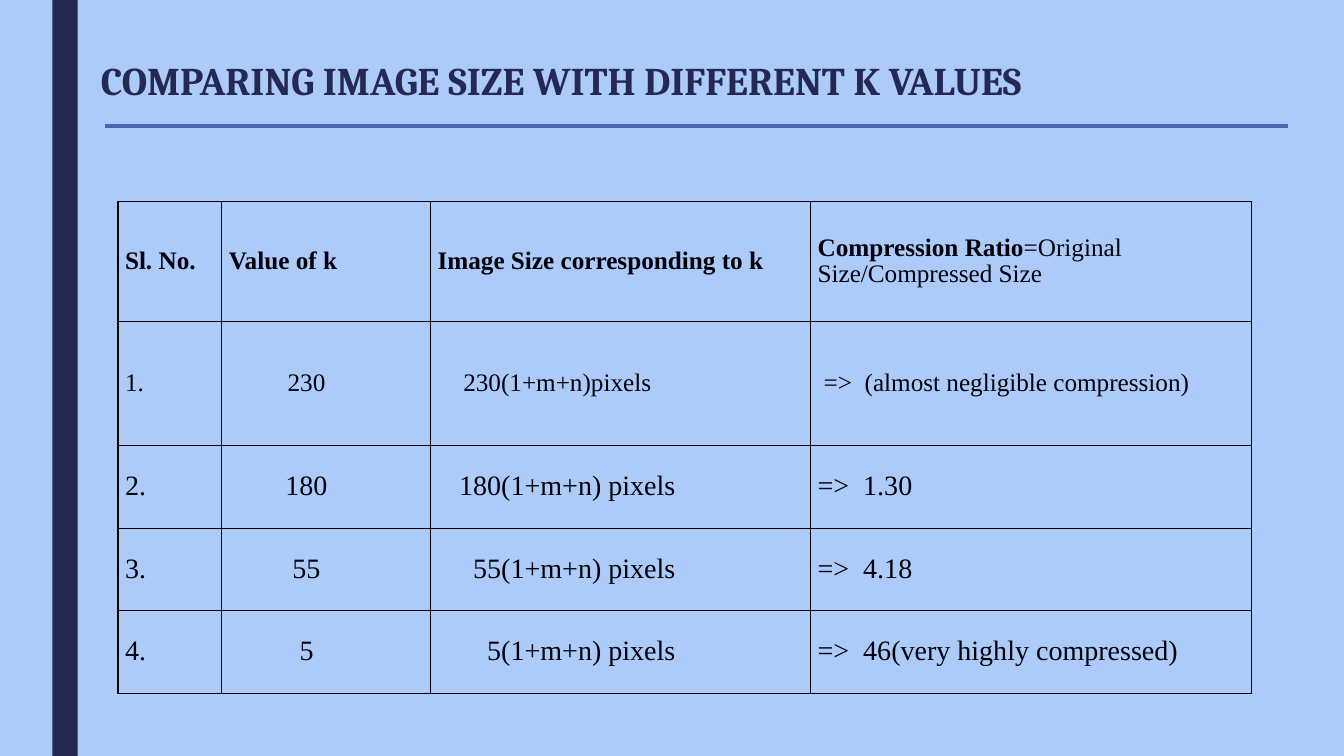
from lxml.etree import SubElement
from pptx import Presentation
from pptx.dml.color import RGBColor
from pptx.enum.shapes import MSO_CONNECTOR, MSO_SHAPE
from pptx.enum.text import MSO_ANCHOR, PP_ALIGN
from pptx.oxml.ns import qn
from pptx.util import Inches, Pt

COLORS = {
    "background": "ACCBF9",
    "navy": "242852",
    "rule": "4A66AC",
    "ink": "00000A",
    "border": "080000",
}
WIDTH, HEIGHT = 13.33, 7.5
COLUMN_WIDTHS = [1.03, 2.07, 3.77, 4.37]
ROW_HEIGHTS = [1.19, 1.23, 0.82, 0.82, 0.82]
ROW_SIZES = [18, 18, 20, 20, 20]
INSET = 0.07
LEFT, CENTER, RIGHT = PP_ALIGN.LEFT, PP_ALIGN.CENTER, PP_ALIGN.RIGHT
COLUMN_LAYOUT = [(LEFT, 0), (CENTER, 0.39), (RIGHT, 1.27), (LEFT, 0)]
HEADERS = [
    [("Sl. No.", True)],
    [("Value of k", True)],
    [("Image Size corresponding to k", True)],
    [("Compression Ratio", True), ("=Original Size/Compressed Size", False)],
]
ROWS = [
    ["1.", "230", "230(1+m+n)pixels", "=>  (almost negligible compression)"],
    ["2.", "180", "180(1+m+n) pixels", "=>  1.30"],
    ["3.", "55", "55(1+m+n) pixels", "=>  4.18"],
    ["4.", "5", "5(1+m+n) pixels", "=>  46(very highly compressed)"],
]
EXTRA_RIGHT = {(1, 2): 0.24}
EXTRA_LEFT = {(1, 3): 0.06}


def color(name):
    """Return the named palette colour."""
    return RGBColor.from_string(COLORS[name])


def add_span(para, text, font, size, ink, bold):
    """Add one formatted run to a paragraph."""
    span = para.add_run()
    span.text = text
    span.font.name = font
    span.font.size = Pt(size)
    span.font.bold = bold
    span.font.color.rgb = color(ink)


def add_side_bar(page, left, top, width, height):
    """Draw the dark vertical bar at the left of the slide."""
    bar = page.shapes.add_shape(
        MSO_SHAPE.RECTANGLE, Inches(left), Inches(top), Inches(width), Inches(height)
    )
    bar.shadow.inherit = False
    bar.fill.solid()
    bar.fill.fore_color.rgb = color("navy")
    bar.line.fill.background()


def add_heading(page, left, top, width, height):
    """Place the title and the rule along the bottom of its box."""
    title = page.shapes.title
    title.left, title.top = Inches(left), Inches(top)
    title.width, title.height = Inches(width), Inches(height)
    frame = title.text_frame
    frame.word_wrap = True
    frame.vertical_anchor = MSO_ANCHOR.MIDDLE
    frame.margin_left = frame.margin_right = 0
    para = frame.paragraphs[0]
    para.alignment = LEFT
    para.line_spacing = 0.89
    add_span(para, "COMPARING IMAGE SIZE WITH DIFFERENT K VALUES", "Cambria", 28, "navy", True)
    bottom = Inches(top + height)
    rule = page.shapes.add_connector(
        MSO_CONNECTOR.STRAIGHT, Inches(left + 0.04), bottom, Inches(left + width), bottom
    )
    rule.line.color.rgb = color("rule")
    rule.line.width = Pt(2.75)
    SubElement(rule._element.spPr, qn("a:effectLst"))


def add_borders(cell):
    """Outline all four sides of a cell and leave it unfilled."""
    properties = cell._tc.get_or_add_tcPr()
    for side in ("a:lnL", "a:lnR", "a:lnT", "a:lnB"):
        line = SubElement(properties, qn(side), w=str(Pt(1)))
        fill = SubElement(line, qn("a:solidFill"))
        SubElement(fill, qn("a:srgbClr"), val=COLORS["border"])
    cell.fill.background()


def fill_cell(cell, spans, size, alignment, left, right):
    """Format a cell and write its runs."""
    add_borders(cell)
    cell.vertical_anchor = MSO_ANCHOR.MIDDLE
    cell.margin_left, cell.margin_right = Inches(INSET + left), Inches(INSET + right)
    cell.margin_top = cell.margin_bottom = 0
    para = cell.text_frame.paragraphs[0]
    para.alignment = alignment
    para.line_spacing = 0.93
    for text, bold in spans:
        add_span(para, text, "Times New Roman", size, "ink", bold)


def add_comparison_table(page, left, top):
    """Build the table of k values, sizes and compression ratios."""
    table = page.shapes.add_table(
        len(ROW_HEIGHTS), len(COLUMN_WIDTHS), Inches(left), Inches(top),
        Inches(sum(COLUMN_WIDTHS)), Inches(sum(ROW_HEIGHTS)),
    ).table
    table.first_row = table.horz_banding = False
    for column, width in zip(table.columns, COLUMN_WIDTHS):
        column.width = Inches(width)
    for row, height in zip(table.rows, ROW_HEIGHTS):
        row.height = Inches(height)
    for index, spans in enumerate(HEADERS):
        fill_cell(table.cell(0, index), spans, ROW_SIZES[0], LEFT, 0, 0)
    for row, values in enumerate(ROWS, start=1):
        for index, text in enumerate(values):
            alignment, right = COLUMN_LAYOUT[index]
            key = (row, index)
            fill_cell(
                table.cell(row, index), [(text, False)], ROW_SIZES[row], alignment,
                EXTRA_LEFT.get(key, 0), right + EXTRA_RIGHT.get(key, 0),
            )


def main():
    """Build and save the slide."""
    deck = Presentation()
    deck.slide_width, deck.slide_height = Inches(WIDTH), Inches(HEIGHT)
    page = deck.slides.add_slide(deck.slide_layouts[5])
    page.background.fill.solid()
    page.background.fill.fore_color.rgb = color("background")
    add_side_bar(page, 0.52, 0, 0.25, HEIGHT)
    add_heading(page, 1, 0.4, 11.77, 0.85)
    add_comparison_table(page, 1.17, 2)
    deck.save("out.pptx")


if __name__ == "__main__":
    main()
